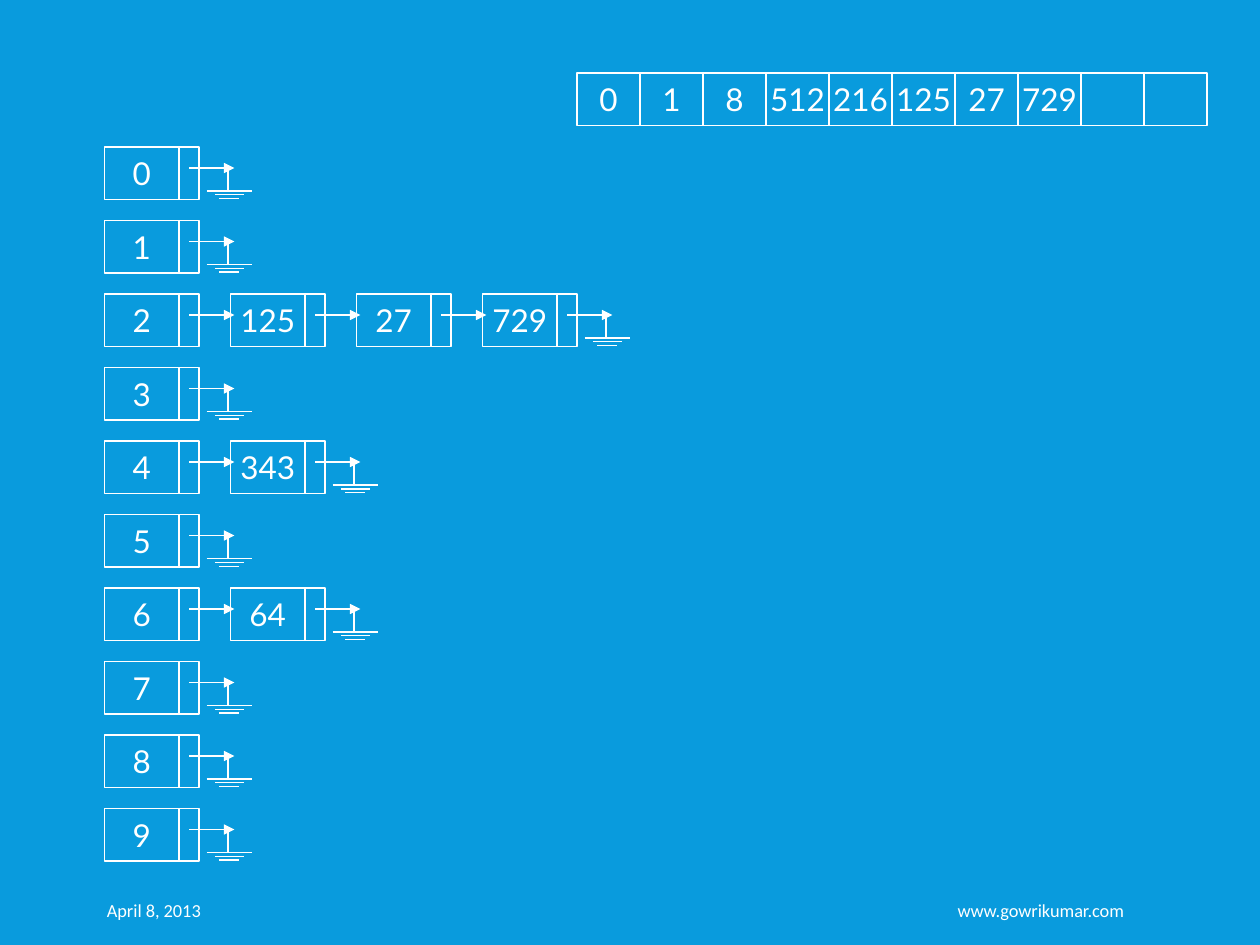
import pptx
import pptx.util
import pptx.dml.color
import pptx.enum.shapes
import pptx.enum.text
import pptx.oxml
import pptx.oxml.ns
from dataclasses import dataclass

Inches = pptx.util.Inches
Align = pptx.enum.text.PP_ALIGN


@dataclass(frozen=True)
class Theme:
    background: str = "099BDD"
    foreground: str = "FFFFFF"
    value_font: str = "Lato"
    footer_font: str = "Calibri"
    value_size: float = 18
    footer_size: float = 10.5
    line_width: float = 0.75


THEME = Theme()

ARRAY = ["0", "1", "8", "512", "216", "125", "27", "729", "", ""]
BUCKETS = [["0"], ["1"], ["2", "125", "27", "729"], ["3"], ["4", "343"],
           ["5"], ["6", "64"], ["7"], ["8"], ["9"]]

CELL_HEIGHT = 5 / 12
ROW_PITCH = 7 / 12
NODE_PITCH = 1.0
VALUE_WIDTH = 0.59
POINTER_WIDTH = 0.16


def rgb(color):
    return pptx.dml.color.RGBColor.from_string(color)


def write_text(shape, text, *, size=THEME.value_size, font=THEME.value_font,
               color=THEME.foreground, align=Align.CENTER, wrap=False):
    frame = shape.text_frame
    frame.word_wrap = wrap
    frame.vertical_anchor = pptx.enum.text.MSO_ANCHOR.MIDDLE
    paragraph = frame.paragraphs[0]
    paragraph.alignment = align
    run = paragraph.add_run()
    run.text = text
    run.font.size = pptx.util.Pt(size)
    run.font.name = font
    run.font.color.rgb = rgb(color)


def style_line(shape):
    shape.line.color.rgb = rgb(THEME.foreground)
    shape.line.width = pptx.util.Pt(THEME.line_width)


def add_cell(shapes, left, top, width, text=""):
    cell = shapes.add_shape(
        pptx.enum.shapes.MSO_SHAPE.RECTANGLE,
        Inches(left), Inches(top), Inches(width), Inches(CELL_HEIGHT))
    cell.shadow.inherit = False
    cell.fill.background()
    style_line(cell)
    if text:
        write_text(cell, text)


def add_line(shapes, start, end, arrow=False):
    line = shapes.add_connector(
        pptx.enum.shapes.MSO_CONNECTOR.STRAIGHT,
        Inches(start[0]), Inches(start[1]), Inches(end[0]), Inches(end[1]))
    style_line(line)
    if arrow:
        head = pptx.oxml.parse_xml(
            f'<a:tailEnd {pptx.oxml.ns.nsdecls("a")} type="triangle"/>')
        line.line._get_or_add_ln().append(head)
    line._element.spPr.append(pptx.oxml.parse_xml(
        f'<a:effectLst {pptx.oxml.ns.nsdecls("a")}/>'))


def add_ground(shapes, left, top):
    """Null symbol: a stem over three bars that get shorter."""
    center = left + 0.18
    add_line(shapes, (left + 0.17, top), (left + 0.17, top - 0.19))
    for row, width in enumerate((0.36, 0.23, 0.16)):
        y = top + row * 0.03
        add_line(shapes, (center - width / 2, y), (center + width / 2, y))


def add_node(slide, left, top, text, last):
    """List node: value, pointer and arrow, with a null symbol at the end."""
    shapes = slide.shapes.add_group_shape().shapes
    add_cell(shapes, left, top, VALUE_WIDTH, text)
    add_cell(shapes, left + VALUE_WIDTH, top, POINTER_WIDTH)
    arrow_left, arrow_top = left + 0.67, top + CELL_HEIGHT * 0.4
    add_line(shapes, (arrow_left, arrow_top),
             (arrow_left + 0.36, arrow_top), arrow=True)
    if last:
        add_ground(shapes, left + 0.81, top + 0.35)


def add_buckets(slide, left, top):
    for row, chain in enumerate(BUCKETS):
        for column, value in enumerate(chain):
            add_node(slide, left + column * NODE_PITCH, top + row * ROW_PITCH,
                     value, last=column == len(chain) - 1)


def add_array(slide, left, top, width):
    cell_width = width / len(ARRAY)
    for index, value in enumerate(ARRAY):
        add_cell(slide.shapes, left + index * cell_width, top, cell_width, value)


def add_footer(slide, left, top, width, height):
    # Date on the left, site on the right
    site_width = 4.44
    for text, x, box_width, align in (
            ("April 8, 2013", left, 2.84, Align.LEFT),
            ("www.gowrikumar.com", left + width - site_width, site_width, Align.RIGHT)):
        box = slide.shapes.add_textbox(
            Inches(x), Inches(top), Inches(box_width), Inches(height))
        write_text(box, text, size=THEME.footer_size, font=THEME.footer_font,
                   align=align, wrap=True)


def main():
    presentation = pptx.Presentation()
    presentation.slide_width = Inches(10)
    presentation.slide_height = Inches(7.5)
    slide = presentation.slides.add_slide(presentation.slide_layouts[6])
    slide.background.fill.solid()
    slide.background.fill.fore_color.rgb = rgb(THEME.background)

    add_footer(slide, 0.75, 7.02, 8.27, 0.4)
    add_buckets(slide, 0.83, 7 / 6)
    add_array(slide, 4.58, 0.58, 5)
    presentation.save("out.pptx")


if __name__ == "__main__":
    main()
